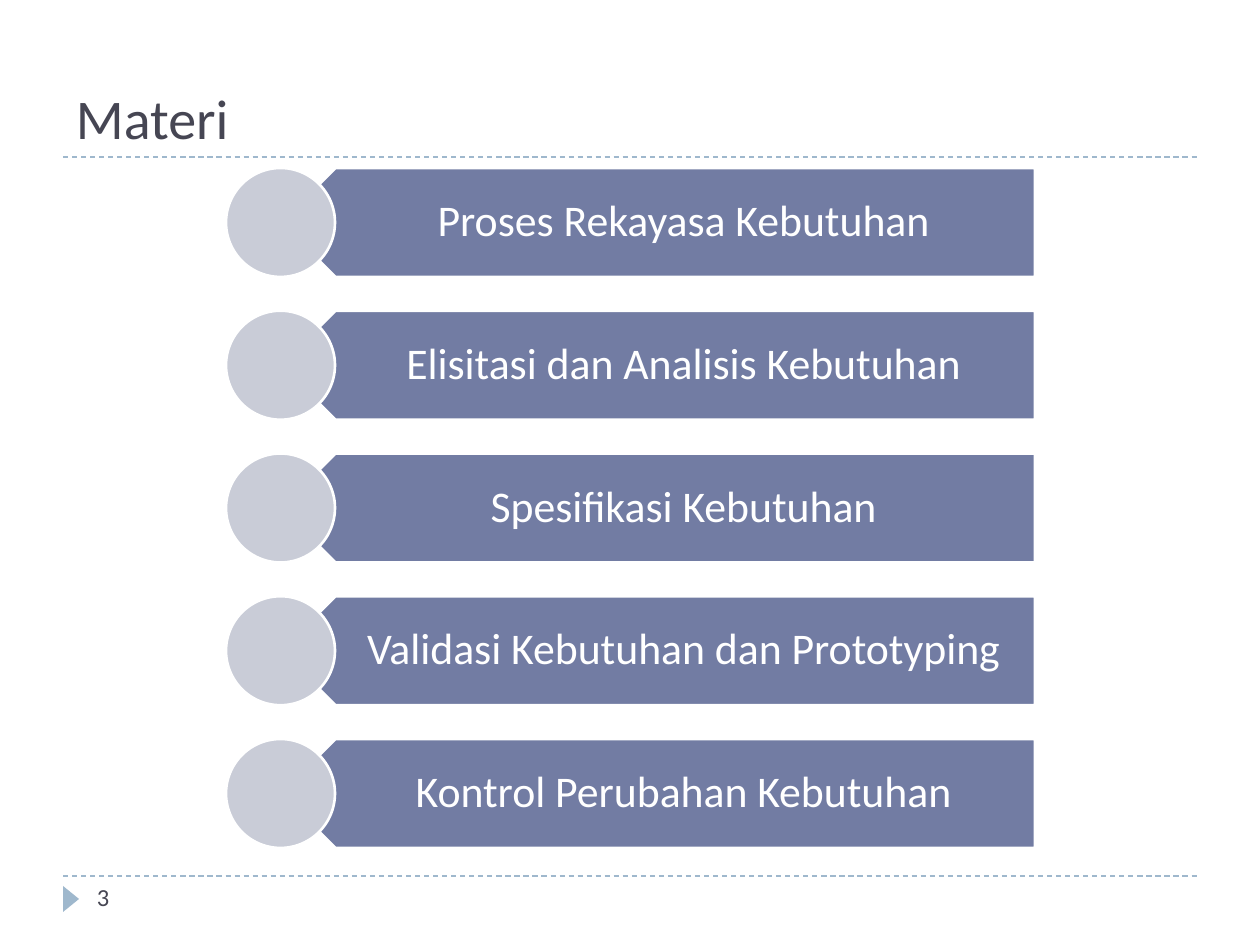
from lxml import etree
from pptx import Presentation
from pptx.dml.color import RGBColor
from pptx.enum.dml import MSO_LINE
from pptx.enum.shapes import MSO_CONNECTOR, MSO_SHAPE
from pptx.enum.text import MSO_ANCHOR, PP_ALIGN
from pptx.oxml.ns import qn
from pptx.util import Emu, Pt

TITLE = "Materi"
PAGE_NUMBER = "3"
TOPICS = [
    "Proses Rekayasa Kebutuhan",
    "Elisitasi dan Analisis Kebutuhan",
    "Spesifikasi Kebutuhan",
    "Validasi Kebutuhan dan Prototyping",
    "Kontrol Perubahan Kebutuhan",
]
COLOURS = {
    "text": "464653",
    "accent": "9FB8CD",
    "bar": "727CA3",
    "circle": "C9CCD7",
    "white": "FFFFFF",
}
FONT = "Calibri"
TOP, MIDDLE, BOTTOM = MSO_ANCHOR.TOP, MSO_ANCHOR.MIDDLE, MSO_ANCHOR.BOTTOM
LEFT, CENTER = PP_ALIGN.LEFT, PP_ALIGN.CENTER

# Lengths in px, 126 to the inch
SLIDE_WIDTH, SLIDE_HEIGHT = 1260, 945
MARGIN = 63
RULE_TOPS = [876, 157]
FIRST_TOP, LAST_TOP = 168, 739
ROW_HEIGHT = 109
CIRCLE_LEFT = 226
BAR_LEFT, BAR_RIGHT = 281, 1035
LABEL_LEFT = 308
DEFAULT_INSETS = (13, 6, 13, 6)
LABEL_INSETS = (48, 12, 24, 12)


def px(length):
    return Emu(round(length * 914400 / 126))


def colour(name):
    return RGBColor.from_string(COLOURS[name])


def add_rule(page, top):
    rule = page.shapes.add_connector(
        MSO_CONNECTOR.STRAIGHT, px(MARGIN), px(top), px(SLIDE_WIDTH - MARGIN), px(top))
    rule.line.color.rgb = colour("accent")
    rule.line.width = Pt(0.75)
    rule.line.dash_style = MSO_LINE.DASH
    etree.SubElement(rule._element.spPr, qn("a:effectLst"))


def add_figure(page, kind, frame, fill, outline=None, rotation=0):
    figure = page.shapes.add_shape(kind, *map(px, frame))
    figure.shadow.inherit = False
    figure.rotation = rotation
    figure.fill.solid()
    figure.fill.fore_color.rgb = colour(fill)
    if outline:
        figure.line.color.rgb = colour(outline)
        figure.line.width = Pt(1.5)
    else:
        figure.line.fill.background()


def add_text(page, text, frame, size, ink, anchor=TOP, align=LEFT,
             insets=DEFAULT_INSETS, spacing=1.0):
    box = page.shapes.add_textbox(*map(px, frame))
    body = box.text_frame
    body.word_wrap = True
    body.vertical_anchor = anchor
    (body.margin_left, body.margin_top,
     body.margin_right, body.margin_bottom) = map(px, insets)
    para = body.paragraphs[0]
    para.alignment = align
    para.line_spacing = spacing
    span = para.add_run()
    span.text = text
    span.font.name = FONT
    span.font.size = Pt(size)
    span.font.color.rgb = colour(ink)


def add_topic(page, text, top):
    """Add one row: arrow bar, its label and the circle over the tip."""
    add_figure(page, MSO_SHAPE.PENTAGON, (BAR_LEFT, top, BAR_RIGHT - BAR_LEFT, ROW_HEIGHT),
               "bar", "white", rotation=180)
    add_text(page, text, (LABEL_LEFT, top, BAR_RIGHT - LABEL_LEFT, ROW_HEIGHT), 25,
             "white", MIDDLE, CENTER, LABEL_INSETS, 0.9)
    add_figure(page, MSO_SHAPE.OVAL, (CIRCLE_LEFT, top, ROW_HEIGHT, ROW_HEIGHT),
               "circle", "white")


def main():
    deck = Presentation()
    deck.slide_width, deck.slide_height = px(SLIDE_WIDTH), px(SLIDE_HEIGHT)
    page = deck.slides.add_slide(deck.slide_layouts[6])

    for top in RULE_TOPS:
        add_rule(page, top)
    add_figure(page, MSO_SHAPE.ISOSCELES_TRIANGLE, (58, 891, 26, 16), "accent", rotation=90)
    add_text(page, TITLE, (MARGIN, 21, SLIDE_WIDTH - 2 * MARGIN, 136), 32, "text", BOTTOM)
    add_text(page, PAGE_NUMBER, (84, 876, 273, 50), 14, "text")

    pitch = (LAST_TOP - FIRST_TOP) / (len(TOPICS) - 1)
    for row, topic in enumerate(TOPICS):
        add_topic(page, topic, FIRST_TOP + row * pitch)

    deck.save("out.pptx")


if __name__ == "__main__":
    main()
